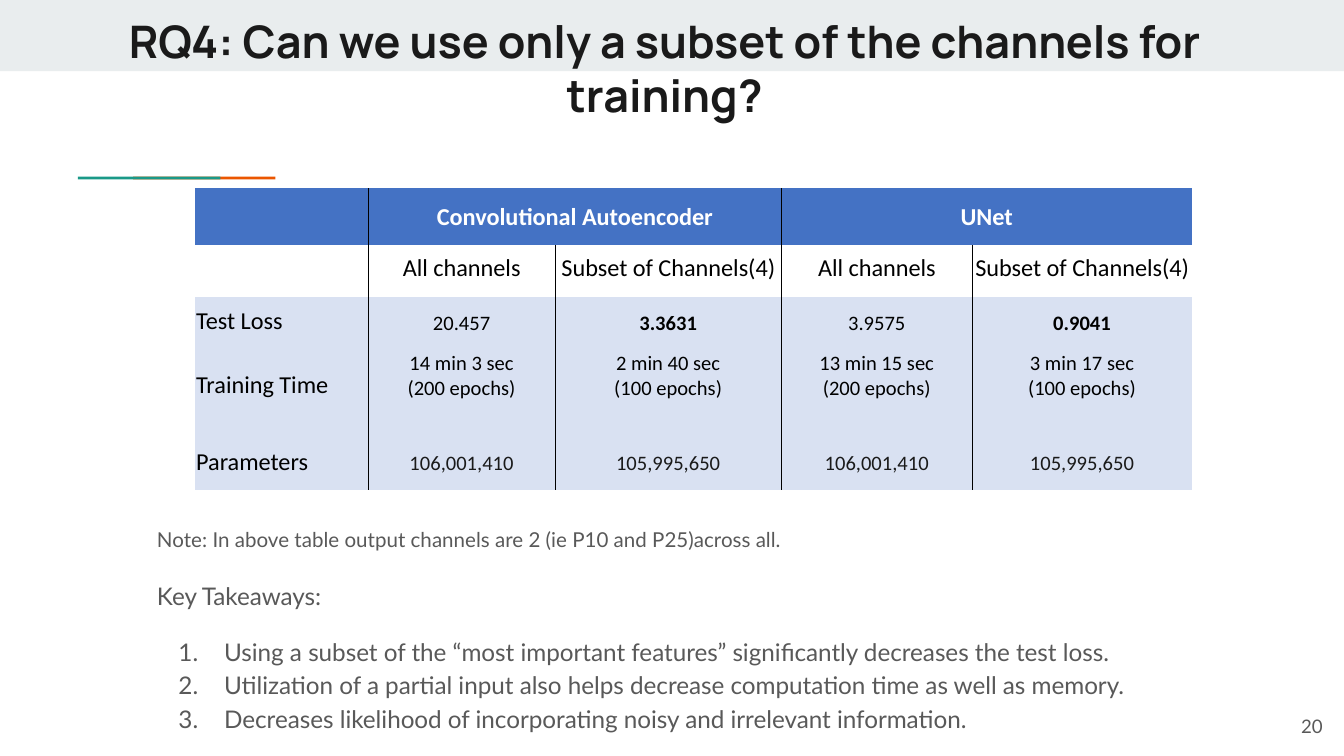
from lxml.etree import SubElement
from pptx import Presentation
from pptx.dml.color import RGBColor
from pptx.enum.shapes import MSO_SHAPE as Shape
from pptx.enum.text import MSO_ANCHOR as Anchor, PP_ALIGN as Align
from pptx.oxml import parse_xml
from pptx.oxml.ns import nsdecls, qn
from pptx.util import Inches, Pt

WHITE = RGBColor(0xFF, 0xFF, 0xFF)
BLACK = RGBColor(0, 0, 0)
INK = RGBColor(0x1A, 0x1A, 0x1A)
GRAY = RGBColor(0x59, 0x59, 0x59)
BAND = RGBColor(0xE9, 0xED, 0xEE)
TEAL = RGBColor(0x1A, 0x99, 0x88)
ORANGE = RGBColor(0xEB, 0x56, 0x00)
BLUE = RGBColor(0x44, 0x72, 0xC4)
PALE_BLUE = RGBColor(0xD9, 0xE1, 0xF2)

GRID = Inches(0.1)  # 100 columns by 56.25 rows
PLAIN_TABLE = "{2D5ABB26-0587-4C30-8999-92F81FD0307C}"

COLUMN_WIDTHS = [12.9, 13.9, 16.85, 14.2, 16.35]
ROW_HEIGHTS = [4.25, 3.85, 3.9, 4.2, 5.7]
RESULTS = [
    ["", "Convolutional Autoencoder", "", "UNet", ""],
    ["", *["All channels", "Subset of Channels(4)"] * 2],
    ["Test Loss", "20.457", "3.3631", "3.9575", "0.9041"],
    ["Training Time", "14 min 3 sec\n(200 epochs)", "2 min 40 sec\n(100 epochs)",
     "13 min 15 sec\n(200 epochs)", "3 min 17 sec\n(100 epochs)"],
    ["Parameters", *["106,001,410", "105,995,650"] * 2],
]
BEST_LOSSES = ("3.3631", "0.9041")
TAKEAWAYS = [
    "Using a subset of the “most important features” significantly decreases the test loss.",
    "Utilization of a partial input also helps decrease computation time as well as memory.",
    "Decreases likelihood of incorporating noisy and irrelevant information.",
]


def grid(*lengths):
    return [round(length * GRID) for length in lengths]


def number_paragraph(paragraph):
    """Give the paragraph a hanging "1." style number."""
    properties = paragraph._p.get_or_add_pPr()
    properties.set("marL", str(Inches(0.5)))
    properties.set("indent", str(Inches(-0.34)))
    following = properties.find(qn("a:defRPr"))
    color = SubElement(properties, qn("a:buClr"))
    SubElement(color, qn("a:srgbClr"), val=str(GRAY))
    SubElement(properties, qn("a:buFont"), typeface="Lato")
    SubElement(properties, qn("a:buAutoNum"), type="arabicPeriod")
    properties.append(following)  # default run properties come last


def draw_border(cell, side):
    """Draw the cell's edge; a right edge must be drawn before a left one."""
    cell._tc.get_or_add_tcPr().insert(0, parse_xml(
        f'<a:ln{side} {nsdecls("a")} w="{Pt(0.6)}"><a:solidFill>'
        f'<a:srgbClr val="{BLACK}"/></a:solidFill></a:ln{side}>'))


class SlideBuilder:
    def __init__(self, presentation):
        self.slide = presentation.slides.add_slide(presentation.slide_layouts[6])

    def style(self, paragraph, size, color, font="Lato", bold=False,
              align=Align.LEFT, spacing=None, before=0):
        paragraph.font.name = font
        paragraph.font.size = Pt(size)
        paragraph.font.bold = bold
        paragraph.font.color.rgb = color
        paragraph.alignment = align
        paragraph.space_before = Pt(before)
        if spacing:
            paragraph.line_spacing = spacing

    def bar(self, left, top, width, height, color):
        shape = self.slide.shapes.add_shape(
            Shape.RECTANGLE, *grid(left, top, width, height))
        shape.shadow.inherit = False
        shape.fill.solid()
        shape.fill.fore_color.rgb = color
        shape.line.fill.background()

    def text(self, left, top, width, height, lines, anchor=Anchor.TOP):
        """Add a text box; lines holds (text, style) pairs, one a paragraph."""
        frame = self.slide.shapes.add_textbox(
            *grid(left, top, width, height)).text_frame
        frame.word_wrap = True
        frame.vertical_anchor = anchor
        frame.margin_left = frame.margin_right = GRID
        frame.margin_top = frame.margin_bottom = GRID
        frame.text = "\n".join(text for text, _ in lines)
        for paragraph, (_, style) in zip(frame.paragraphs, lines):
            self.style(paragraph, **style)
        return frame

    def cell(self, cell, row, column, text):
        header, label = row == 0, column == 0
        cell.text = text
        cell.vertical_anchor = Anchor.BOTTOM
        cell.margin_left = cell.margin_right = cell.margin_top = Inches(0.01)
        cell.margin_bottom = GRID if text else Inches(0.01)
        if row == 1:
            cell.fill.background()
        else:
            cell.fill.solid()
            cell.fill.fore_color.rgb = BLUE if header else PALE_BLUE
        color = WHITE if header else INK if row == 4 and not label else BLACK
        for paragraph in cell.text_frame.paragraphs:
            self.style(
                paragraph, 13 if label or row < 2 else 11, color, "Calibri",
                bold=header or text in BEST_LOSSES,
                align=Align.LEFT if label else Align.CENTER,
                spacing=1.15 if row in (0, 2) and not label else None)

    def table(self, left, top, values):
        frame = self.slide.shapes.add_table(
            len(values), len(values[0]),
            *grid(left, top, sum(COLUMN_WIDTHS), sum(ROW_HEIGHTS)))
        table = frame.table
        table._tbl.tblPr.find(qn("a:tableStyleId")).text = PLAIN_TABLE
        table.horz_banding = False
        for column, width in zip(table.columns, grid(*COLUMN_WIDTHS)):
            column.width = width
        for row, height in zip(table.rows, grid(*ROW_HEIGHTS)):
            row.height = height
        for first in (1, 3):
            table.cell(0, first).merge(table.cell(0, first + 1))
        for row, texts in enumerate(values):
            for column, text in enumerate(texts):
                self.cell(table.cell(row, column), row, column, text)
            starts = (0, 1, 3) if row == 0 else range(len(texts))
            for before, after in reversed(list(zip(starts, starts[1:]))):
                draw_border(table.cell(row, before), "R")
                draw_border(table.cell(row, after), "L")


def main():
    presentation = Presentation()
    presentation.slide_width, presentation.slide_height = grid(100, 56.25)
    builder = SlideBuilder(presentation)

    builder.bar(0, 0, 100, 5.3, BAND)
    builder.bar(9.9, 13.15, 10.6, 0.2, ORANGE)
    builder.bar(5.8, 13.15, 10.6, 0.2, TEAL)
    builder.text(93.4, 51.9, 6, 4.3, [
        ("20", dict(size=10, color=GRAY, align=Align.RIGHT))], Anchor.MIDDLE)
    builder.text(2.9, 0, 93.1, 9.9, [
        ("RQ4: Can we use only a subset of the channels for training?",
         dict(size=24, color=INK, font="Manrope", bold=True,
              align=Align.CENTER))])
    builder.table(14.5, 14, RESULTS)

    body = dict(size=13, color=GRAY)
    notes = builder.text(10.7, 38.2, 82.7, 18.6, [
        ("Note: In above table output channels are 2 (ie P10 and P25)across all.",
         dict(size=11, color=GRAY)),
        ("Key Takeaways:", dict(body, before=16)),
        *((takeaway, dict(body, spacing=1.15, before=0 if index else 12))
          for index, takeaway in enumerate(TAKEAWAYS))])
    for paragraph in notes.paragraphs[2:]:
        number_paragraph(paragraph)

    presentation.save("out.pptx")


if __name__ == "__main__":
    main()
